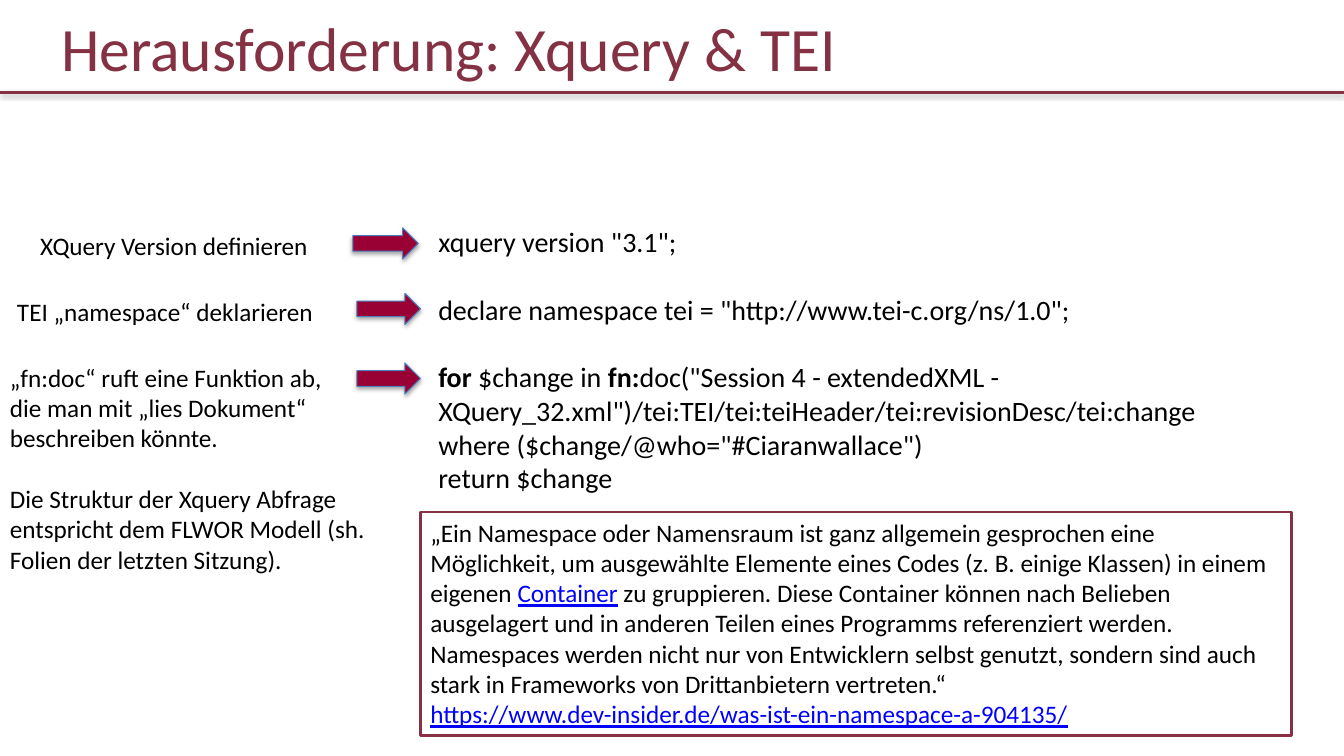
from lxml import etree
from pptx import Presentation
from pptx import util as u
from pptx.dml.color import RGBColor
from pptx.enum import shapes, text
from pptx.oxml import ns

WINE = RGBColor(0x84, 0x31, 0x44)
FRAME = RGBColor(0x89, 0x31, 0x44)
CRIMSON = RGBColor(0x99, 0x00, 0x33)
BLUE_EDGE = RGBColor(0x4B, 0x7E, 0xBC)
LINK_BLUE = RGBColor(0x00, 0x00, 0xFF)
BLACK = RGBColor(0x00, 0x00, 0x00)

COLUMNS, ROWS = 160, 90
WIDTH, HEIGHT = u.Inches(13.333), u.Inches(7.5)
FONT = "Calibri"
LINE_HEIGHT = 1.22

BOLD, LINK = "bold", "link"

# Each paragraph is a list of (words, style) runs.
CODE = [
    [('xquery version "3.1";', None)],
    [('declare namespace tei = "http://www.tei-c.org/ns/1.0";', None)],
    [("for", BOLD), (" $change in ", None), ("fn:", BOLD),
     ('doc("Session 4 - extendedXML - XQuery_32.xml")'
      "/tei:TEI/tei:teiHeader/tei:revisionDesc/tei:change", None)],
    [('where ($change/@who="#Ciaranwallace")', None)],
    [("return $change", None)],
]
EXPLANATION = [
    [("„fn:doc“ ruft eine Funktion ab,", None)],
    [("die man mit „lies Dokument“", None)],
    [("beschreiben könnte.", None)],
    [("Die Struktur der Xquery Abfrage", None)],
    [("entspricht dem FLWOR Modell (sh. Folien der letzten Sitzung).", None)],
]
QUOTE = [
    [("„Ein Namespace oder Namensraum ist ganz allgemein gesprochen eine "
      "Möglichkeit, um ausgewählte Elemente eines Codes (z. B. einige Klassen) "
      "in einem eigenen ", None),
     ("Container", LINK),
     (" zu gruppieren. Diese Container können nach Belieben ausgelagert und in "
      "anderen Teilen eines Programms referenziert werden. Namespaces werden "
      "nicht nur von Entwicklern selbst genutzt, sondern sind auch stark in "
      "Frameworks von Drittanbietern vertreten.“", None)],
    [("https://www.dev-insider.de/was-ist-ein-namespace-a-904135/", LINK)],
]


def grid(column, row, columns, rows):
    """Turn grid units into left, top, width and height."""
    return (round(WIDTH * column / COLUMNS), round(HEIGHT * row / ROWS),
            round(WIDTH * columns / COLUMNS), round(HEIGHT * rows / ROWS))


def add_shadow(shape, distance, opacity):
    properties = shape._element.spPr
    effects = etree.SubElement(properties, ns.qn("a:effectLst"))
    shadow = etree.SubElement(
        effects, ns.qn("a:outerShdw"), blurRad=str(u.Pt(3.1)),
        dist=str(u.Pt(distance)), dir="5400000", rotWithShape="0")
    color = etree.SubElement(shadow, ns.qn("a:srgbClr"), val=str(BLACK))
    etree.SubElement(color, ns.qn("a:alpha"), val=str(opacity * 1000))


def write(shape, paragraphs, size, color=BLACK, gaps=(),
          align=text.PP_ALIGN.LEFT, anchor=text.MSO_ANCHOR.TOP):
    """Fill a shape with text; gaps lists paragraphs preceded by one empty line."""
    frame = shape.text_frame
    frame.word_wrap = True
    frame.vertical_anchor = anchor
    for index, runs in enumerate(paragraphs):
        paragraph = frame.add_paragraph() if index else frame.paragraphs[0]
        paragraph.alignment = align
        if index in gaps:
            paragraph.space_before = u.Pt(round(size * LINE_HEIGHT, 1))
        for words, style in runs:
            run = paragraph.add_run()
            run.text = words
            run.font.name = FONT
            run.font.size = u.Pt(size)
            run.font.bold = style == BOLD
            run.font.underline = style == LINK
            run.font.color.rgb = LINK_BLUE if style == LINK else color


def add_text(slide, area, paragraphs, size, **options):
    write(slide.shapes.add_textbox(*grid(*area)), paragraphs, size, **options)


def add_title_rule(slide, row):
    left, top, width, _ = grid(0, row, COLUMNS, 0)
    rule = slide.shapes.add_connector(
        shapes.MSO_CONNECTOR.STRAIGHT, left, top, left + width, top)
    rule.line.color.rgb = WINE
    rule.line.width = u.Pt(2.5)
    add_shadow(rule, 1.6, 38)


def add_arrow(slide, column, row, columns):
    arrow = slide.shapes.add_shape(
        shapes.MSO_SHAPE.RIGHT_ARROW, *grid(column, row, columns, 3.72))
    arrow.fill.solid()
    arrow.fill.fore_color.rgb = CRIMSON
    arrow.line.color.rgb = BLUE_EDGE
    arrow.line.width = u.Pt(0.75)
    add_shadow(arrow, 1.8, 35)


def add_quote(slide, area):
    box = slide.shapes.add_shape(shapes.MSO_SHAPE.RECTANGLE, *grid(*area))
    box.shadow.inherit = False
    box.fill.background()
    box.line.color.rgb = FRAME
    box.line.width = u.Pt(2)
    write(box, QUOTE, 18)


def main():
    presentation = Presentation()
    presentation.slide_width, presentation.slide_height = WIDTH, HEIGHT
    slide = presentation.slides.add_slide(presentation.slide_layouts[6])

    add_title_rule(slide, 11.04)
    add_text(slide, (0, 1.56, 106.92, 8.04),
             [[("Herausforderung: Xquery & TEI", None)]], 44, color=WINE,
             align=text.PP_ALIGN.CENTER, anchor=text.MSO_ANCHOR.MIDDLE)
    add_text(slide, (51, 26.04, 105.5, 33.48), CODE, 20, gaps=(1, 2),
             anchor=text.MSO_ANCHOR.MIDDLE)

    for column, row, columns in ((42, 27.12, 7.8), (42.5, 34.92, 7.56),
                                 (42.5, 43.2, 7.56)):
        add_arrow(slide, column, row, columns)

    first_row, step = 26.88, 7.8
    notes = (
        (3.6, 35.76, 4.8, [[("XQuery Version definieren", None)]], ()),
        (0.84, 39.72, 4.8, [[("TEI „namespace“ deklarieren", None)]], ()),
        (0, 45.96, 26.64, EXPLANATION, (3,)),
    )
    for index, (column, columns, rows, paragraphs, gaps) in enumerate(notes):
        area = (column, first_row + index * step, columns, rows)
        add_text(slide, area, paragraphs, 18, gaps=gaps)

    add_quote(slide, (50.04, 60.96, 103.68, 26.64))
    presentation.save("out.pptx")


if __name__ == "__main__":
    main()
